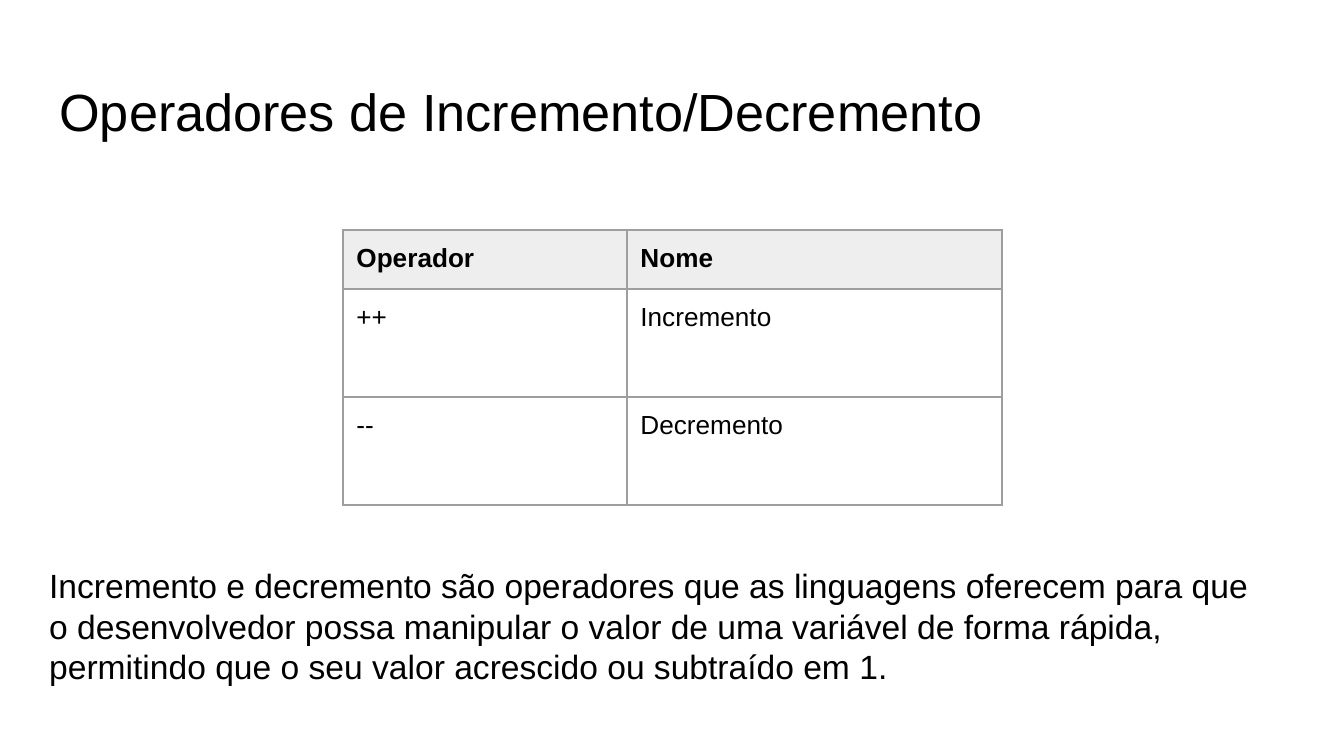
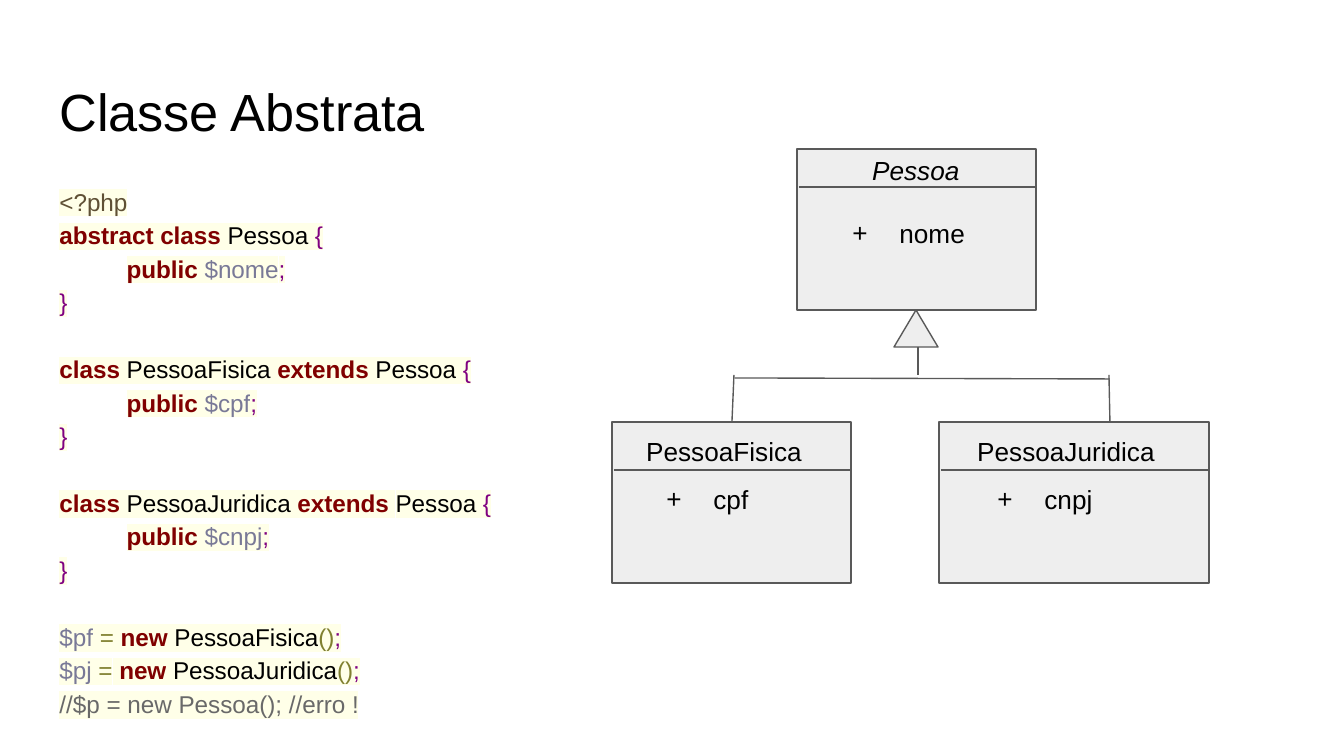
"""Builds two slides: increment operators and abstract classes."""
from copy import deepcopy
from dataclasses import dataclass

from lxml.etree import SubElement as Sub
from pptx import Presentation
from pptx.dml.color import RGBColor as Rgb
from pptx.enum.shapes import MSO_CONNECTOR as Conn, MSO_SHAPE as Kind
from pptx.enum.text import MSO_ANCHOR as Anchor, MSO_AUTO_SIZE as Auto, PP_ALIGN as Align
from pptx.oxml.ns import qn
from pptx.util import Pt


@dataclass(frozen=True)
class Theme:
    """Colours, font and type sizes."""
    font: str = "Arial"
    ink: str = "000000"
    fill: str = "EEEEEE"
    edge: str = "595959"
    grid: str = "9E9E9E"
    glow: str = "FFFFE8"
    head: int = 28
    note: int = 18
    cell: int = 14
    code: int = 13
    line: float = 0.75


T = Theme()
HUES = {"tag": "5F5035", "key": "800000", "txt": T.ink, "end": "800080",
        "var": "797997", "op": "808030", "rem": "696969"}

TITLES = ["Operadores de Incremento/Decremento", "Classe Abstrata"]
TABLE = [("Operador", "Nome"), ("++", "Incremento"), ("--", "Decremento")]
COLS, ROWS = (284, 375), (59, 108, 108)
NOTE = ("Incremento e decremento são operadores que as linguagens oferecem para que "
        "o desenvolvedor possa manipular o valor de uma variável de forma rápida, "
        "permitindo que o seu valor acrescido ou subtraído em 1.")


def block(start, field):
    """Code lines of one class."""
    return [start + [("end", "{")],
            [("txt", "\t"), ("key", "public"), ("txt", " "), ("var", field), ("end", ";")],
            [("end", "}")], []]


def child(name, field):
    """Code lines of a class that extends Pessoa."""
    return block([("key", "class"), ("txt", f" {name} "), ("key", "extends "),
                  ("txt", "Pessoa ")], field)


def create(var, name):
    """Code line that makes an object."""
    return [("var", var), ("txt", " "), ("op", "="), ("txt", " "), ("key", "new"),
            ("txt", f" {name}"), ("op", "()"), ("end", ";")]


CODE = [
    [("tag", "<?php")],
    *block([("key", "abstract"), ("txt", " "), ("key", "class"), ("txt", " Pessoa ")], "$nome"),
    *child("PessoaFisica", "$cpf"),
    *child("PessoaJuridica", "$cnpj"),
    create("$pf", "PessoaFisica"),
    create("$pj", "PessoaJuridica"),
    [("rem", "//$p = new Pessoa(); //erro !")],
]

BASE = dict(name="Pessoa", field="nome", box=(797, 149, 239, 161),
            label=(859, 141, 133), rule=187, items=(819, 204, 194), italic=True)
KIDS = [
    dict(name="PessoaFisica", field="cpf", box=(612, 422, 239, 161),
         label=(633, 422, 200), rule=470, items=(633, 470, 160)),
    dict(name="PessoaJuridica", field="cnpj", box=(939, 422, 270, 161),
         label=(964, 422, 226), rule=470, items=(964, 470, 180)),
]
LINKS = [(734, 375, 732, 422), (918, 347, 918, 375),
         (1109, 375, 1110, 423), (1110, 379, 735, 378)]


def px(*vals):
    """Turn px into EMU."""
    return [round(val * 914400 / 134.4) for val in vals]


def tint(color):
    return Rgb.from_string(color)


def write(para, text, size, color=T.ink, bold=False, italic=False):
    """Add one run."""
    run = para.add_run()
    run.text = text
    font = run.font
    font.name, font.size, font.bold, font.italic = T.font, Pt(size), bold, italic
    font.color.rgb = tint(color)
    return run


def setup(frame):
    """Set margins and flow, and return the first paragraph."""
    frame.word_wrap, frame.auto_size = True, Auto.NONE
    frame.vertical_anchor = Anchor.TOP
    frame.margin_left = frame.margin_right = frame.margin_top = frame.margin_bottom = Pt(7.2)
    para = frame.paragraphs[0]
    para.alignment = Align.LEFT
    return para


def place(shape, *area):
    shape.left, shape.top, shape.width, shape.height = px(*area)
    return setup(shape.text_frame)


def text(shapes, area, words, size, **style):
    para = setup(shapes.add_textbox(*px(*area)).text_frame)
    write(para, words, size, **style)


def start(deck, layout, title):
    """Add a slide with its title."""
    slide = deck.slides.add_slide(deck.slide_layouts[layout])
    write(place(slide.shapes.title, 46, 66, 1253, 84), title, T.head)
    return slide


def rule(shapes, *ends):
    line = shapes.add_connector(Conn.STRAIGHT, *px(*ends))
    line.line.color.rgb, line.line.width = tint(T.edge), Pt(T.line)
    Sub(line._element.spPr, qn("a:effectLst"))


def solid(shapes, kind, *area):
    shape = shapes.add_shape(kind, *px(*area))
    shape.shadow.inherit = False
    shape.fill.solid()
    shape.fill.fore_color.rgb = tint(T.fill)
    shape.line.color.rgb, shape.line.width = tint(T.edge), Pt(T.line)


def border(cell):
    """Draw the four cell edges."""
    props = cell._tc.get_or_add_tcPr()
    for spot, side in enumerate(("lnL", "lnR", "lnT", "lnB")):
        line = props.makeelement(qn(f"a:{side}"), w=str(Pt(T.line)))
        Sub(Sub(line, qn("a:solidFill")), qn("a:srgbClr"), val=T.grid)
        props.insert(spot, line)


def grid(slide):
    """Add the table of operators."""
    area = px(343, 230, sum(COLS), sum(ROWS))
    table = slide.shapes.add_table(len(ROWS), len(COLS), *area).table
    table.horz_banding = False
    for col, wide in zip(table.columns, px(*COLS)):
        col.width = wide
    for r, (row, tall) in enumerate(zip(table.rows, px(*ROWS))):
        row.height = tall
        for cell, words in zip(row.cells, TABLE[r]):
            cell.margin_left = cell.margin_right = Pt(7.2)
            cell.margin_top = cell.margin_bottom = Pt(7.2)
            if r == 0:
                cell.fill.solid()
                cell.fill.fore_color.rgb = tint(T.fill)
            else:
                cell.fill.background()
            border(cell)
            write(cell.text_frame.paragraphs[0], words, T.cell, bold=r == 0)


def listing(slide):
    """Add the code with its colours."""
    para = place(slide.placeholders[1], 46, 169, 629, 503)
    para.space_before, para.line_spacing = Pt(0), 1.15
    props = para._p.get_or_add_pPr()
    props.set("marL", "0")
    props.set("indent", "0")
    Sub(props, qn("a:buNone"))
    Sub(Sub(props, qn("a:tabLst")), qn("a:tab"), pos="914400", algn="l")
    for n, line in enumerate(CODE):
        if n:
            para.add_line_break()
            para._p[-1].append(deepcopy(look))
        for role, words in line:
            run = write(para, words, T.code, HUES[role], bold=role == "key")
            look = run._r.rPr
            mark = look.makeelement(qn("a:highlight"))
            Sub(mark, qn("a:srgbClr"), val=T.glow)
            look.find(qn("a:solidFill")).addnext(mark)


def model(shapes, name, field, box, label, rule_y, items, italic=False):
    """Draw one class of the diagram."""
    left, _, wide, _ = box
    solid(shapes, Kind.RECTANGLE, *box)
    text(shapes, (*label, 47), name, T.cell, italic=italic)
    para = setup(shapes.add_textbox(*px(*items, 98)).text_frame)
    props = para._p.get_or_add_pPr()
    props.set("marL", "457200")
    props.set("indent", "-320040")
    Sub(Sub(props, qn("a:buClr")), qn("a:srgbClr"), val=T.ink)
    Sub(props, qn("a:buFont"), typeface=T.font)
    Sub(props, qn("a:buChar"), char="+")
    write(para, field, T.cell)
    rule(shapes, left + 2, rule_y, left + wide + 1, rule_y)


def draw(shapes, data):
    model(shapes, **{("rule_y" if key == "rule" else key): val for key, val in data.items()})


def main():
    deck = Presentation()
    deck.slide_width, deck.slide_height = px(1344, 756)

    first = start(deck, 5, TITLES[0])
    grid(first)
    text(first.shapes, (36, 552, 1253, 160), NOTE, T.note)

    second = start(deck, 1, TITLES[1])
    listing(second)
    draw(second.shapes, BASE)
    solid(second.shapes, Kind.ISOSCELES_TRIANGLE, 894, 310, 44, 37)
    for kid in KIDS:
        draw(second.shapes.add_group_shape().shapes, kid)
    for ends in LINKS:
        rule(second.shapes, *ends)
    deck.save("out.pptx")


if __name__ == "__main__":
    main()
